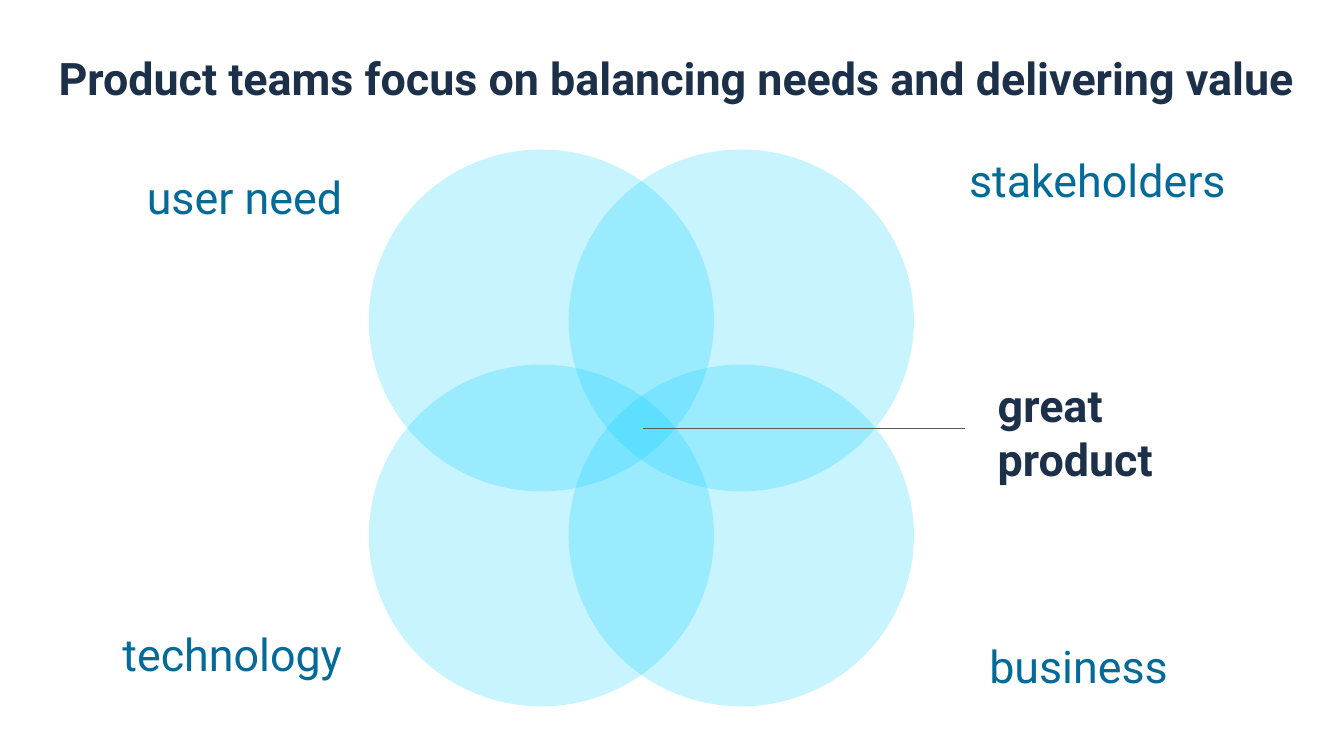
"""Build a slide with four overlapping circles of product needs."""
from pptx import Presentation
from pptx.dml.color import RGBColor
from pptx.enum.shapes import MSO_CONNECTOR, MSO_SHAPE
from pptx.enum.text import MSO_ANCHOR, PP_ALIGN
from pptx.oxml.ns import qn
from pptx.util import Pt
from lxml.etree import SubElement

PX = 5715
COLORS = {"circle": "00CFFF", "label": "046B99", "dark": "1C304A", "line": "595959"}


def color(name):
    return RGBColor.from_string(COLORS[name])


def write(text, box, tone="label", bold=False, align=PP_ALIGN.LEFT, anchor=MSO_ANCHOR.TOP):
    frame = slide.shapes.add_textbox(*[n * PX for n in box]).text_frame
    frame.word_wrap = True
    frame.vertical_anchor = anchor
    frame.margin_left = frame.margin_right = 16 * PX
    frame.margin_top = frame.margin_bottom = 16 * PX
    para = frame.paragraphs[0]
    para.text = text
    para.alignment = align
    para.font.name = "Roboto"
    para.font.size = Pt(24)
    para.font.bold = bold
    para.font.color.rgb = color(tone)


deck = Presentation()
deck.slide_width = 1600 * PX
deck.slide_height = 900 * PX
slide = deck.slides.add_slide(deck.slide_layouts[6])

for top in (178, 434):
    for left in (439, 677):
        circle = slide.shapes.add_shape(
            MSO_SHAPE.OVAL, left * PX, top * PX, 411 * PX, 407 * PX)
        circle.shadow.inherit = False
        circle.line.fill.background()
        circle.fill.solid()
        circle.fill.fore_color.rgb = color("circle")
        tint = circle._element.spPr.find(qn("a:solidFill"))[0]
        SubElement(tint, qn("a:alpha")).set("val", "22000")

write("user need", (12, 186, 411, 98), align=PP_ALIGN.RIGHT)
write("stakeholders", (1138, 166, 382, 98))
write("technology", (86, 730, 337, 98), align=PP_ALIGN.RIGHT)
write("business", (1162, 744, 253, 98))

line = slide.shapes.add_connector(
    MSO_CONNECTOR.STRAIGHT, 766 * PX, 510 * PX, 1149 * PX, 510 * PX)
line.line.color.rgb = color("line")
line.line.width = Pt(0.75)
SubElement(line._element.spPr, qn("a:effectLst"))

write("great product", (1172, 434, 232, 150), "dark", True)
write("Product teams focus on balancing needs and delivering value",
      (54, 19, 1509, 147), "dark", True, anchor=MSO_ANCHOR.MIDDLE)

deck.save("out.pptx")
